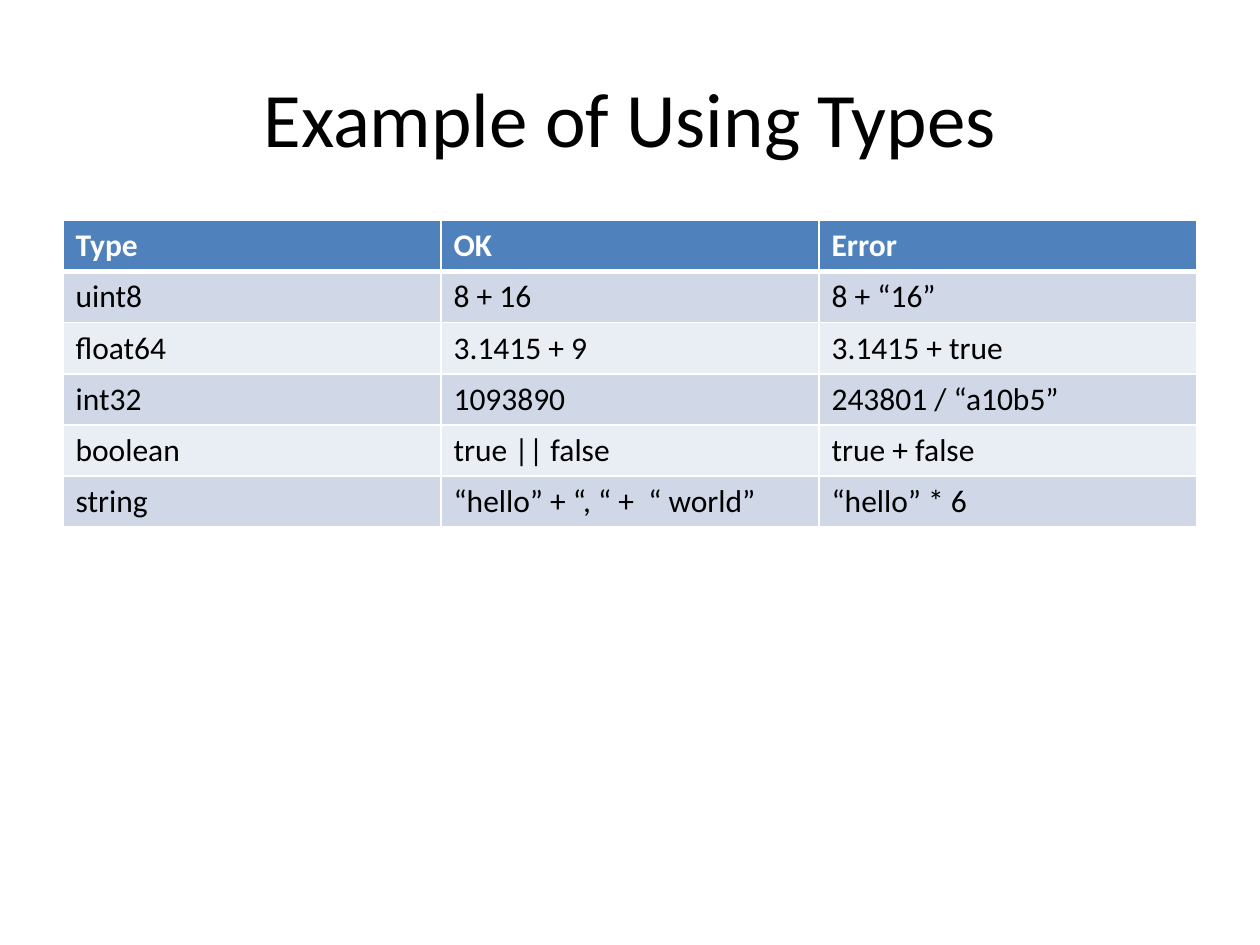
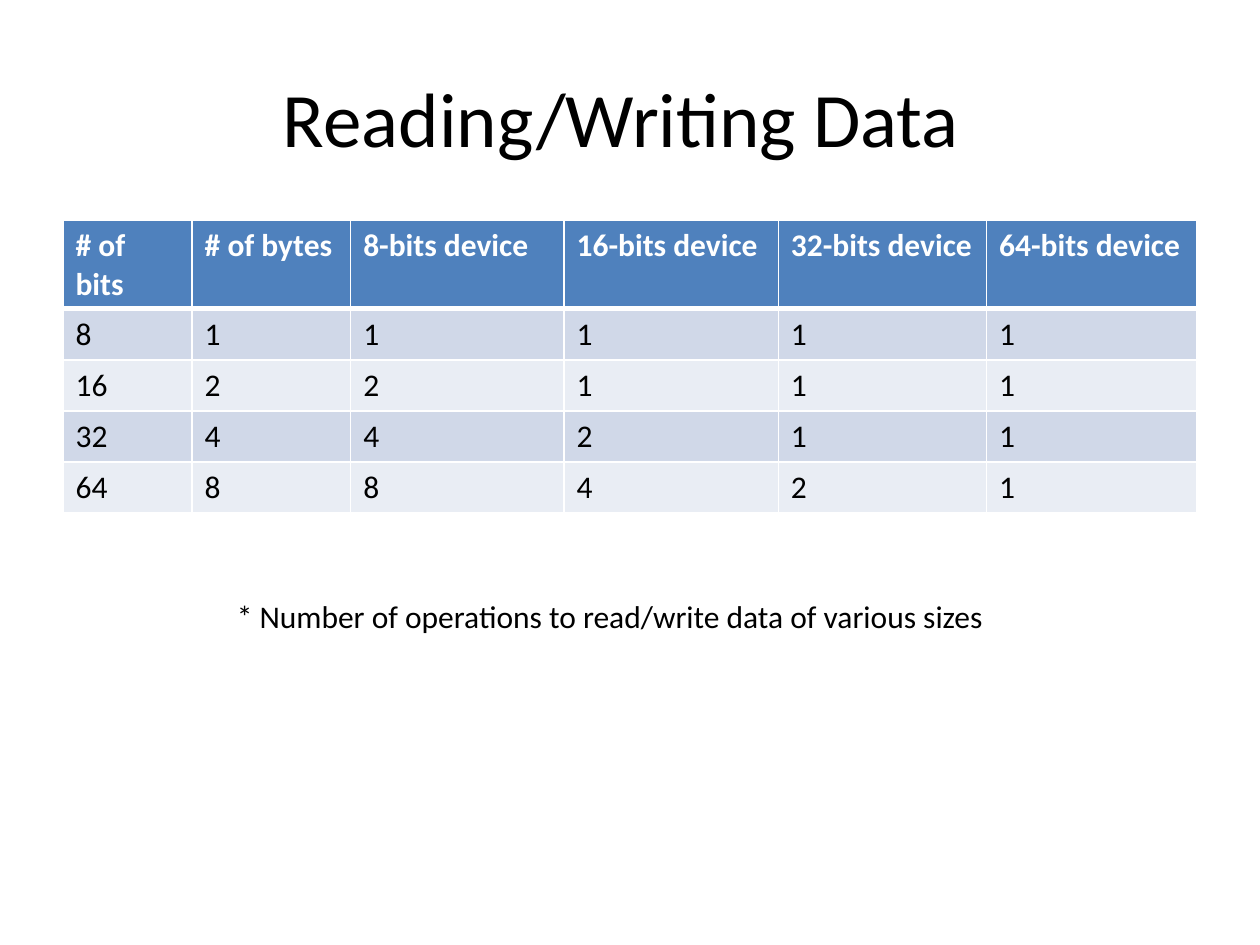
import pptx
import pptx.util
import pptx.dml.color
import pptx.enum.text
import pptx.oxml
import pptx.oxml.ns

Pt = pptx.util.Pt
RGBColor = pptx.dml.color.RGBColor

# Shared look
BLACK = RGBColor(0x00, 0x00, 0x00)
WHITE = RGBColor(0xFF, 0xFF, 0xFF)
BLUE = RGBColor(0x4F, 0x81, 0xBD)
BANDS = [RGBColor(0xE9, 0xED, 0xF4), RGBColor(0xD0, 0xD8, 0xE8)]
FONT = "Calibri"
LEFT, WIDTH = 36, 648
TOP, HIGH = 126, 29.2

# Title, column widths and rows of each slide
PAGES = [
    ("Example of Using Types", [216, 216, 216], [
        ["Type", "OK", "Error"],
        ["uint8", "8 + 16", "8 + “16”"],
        ["float64", "3.1415 + 9", "3.1415 + true"],
        ["int32", "1093890", "243801 / “a10b5”"],
        ["boolean", "true || false", "true + false"],
        ["string", "“hello” + “, “ +  “ world”", "“hello” * 6"],
    ]),
    ("Reading/Writing Data ", [73.8, 90.6, 122, 122.4, 119, 120.2], [
        ["# of bits", "# of bytes", "8-bits device", "16-bits device",
         "32-bits device", "64-bits device"],
        ["8", "1", "1", "1", "1", "1"],
        ["16", "2", "2", "1", "1", "1"],
        ["32", "4", "4", "2", "1", "1"],
        ["64", "8", "8", "4", "2", "1"],
    ]),
]


def write(frame, text, size, color=BLACK, bold=False):
    frame.text = text
    font = frame.paragraphs[0].runs[0].font
    font.name, font.size, font.bold = FONT, Pt(size), bold
    font.color.rgb = color


def edge(cell, side, width):
    line = pptx.oxml.parse_xml(
        f'<a:{side} {pptx.oxml.ns.nsdecls("a")} w="{Pt(width)}">'
        f'<a:solidFill><a:srgbClr val="{WHITE}"/></a:solidFill></a:{side}>')
    cell._tc.get_or_add_tcPr().append(line)


deck = pptx.Presentation()
deck.slide_width, deck.slide_height = Pt(720), Pt(540)

for title, widths, rows in PAGES:
    slide = deck.slides.add_slide(deck.slide_layouts[6])

    # Title
    box = slide.shapes.add_textbox(Pt(LEFT), Pt(21.6), Pt(WIDTH), Pt(90))
    frame = box.text_frame
    frame.word_wrap = True
    frame.vertical_anchor = pptx.enum.text.MSO_ANCHOR.MIDDLE
    write(frame, title, 44)
    frame.paragraphs[0].alignment = pptx.enum.text.PP_ALIGN.CENTER

    # Table with a blue header and banded rows
    table = slide.shapes.add_table(
        len(rows), len(widths), Pt(LEFT), Pt(TOP), Pt(WIDTH),
        Pt(HIGH * len(rows))).table
    for column, width in zip(table.columns, widths):
        column.width = Pt(width)
    for r, row in enumerate(rows):
        table.rows[r].height = Pt(HIGH)
        head = r == 0
        for c, text in enumerate(row):
            cell = table.cell(r, c)
            write(cell.text_frame, text, 18, WHITE if head else BLACK, head)
            edge(cell, "lnL", 1)
            edge(cell, "lnR", 1)
            edge(cell, "lnT", 3 if r == 1 else 1)
            edge(cell, "lnB", 3 if head else 1)
            cell.fill.solid()
            cell.fill.fore_color.rgb = BLUE if head else BANDS[r % 2]

# Note under the last table
note = slide.shapes.add_textbox(Pt(128.2), Pt(337.7), Pt(447.8), Pt(28.8))
note.text_frame.word_wrap = False
note.text_frame.auto_size = pptx.enum.text.MSO_AUTO_SIZE.SHAPE_TO_FIT_TEXT
write(note.text_frame,
      "* Number of operations to read/write data of various sizes", 18)

deck.save("out.pptx")
